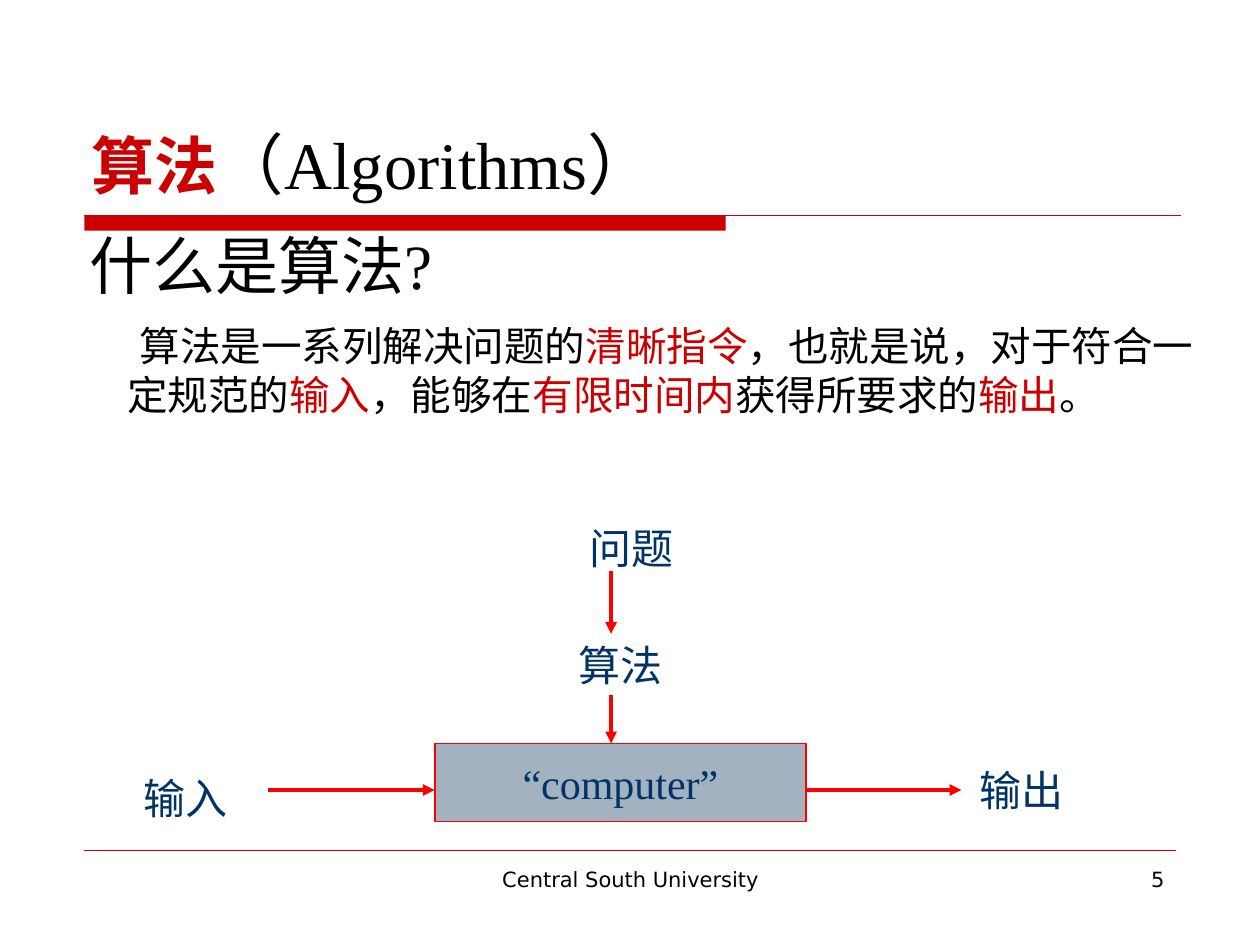
from pptx import Presentation
from pptx.dml.color import RGBColor
from pptx.enum import shapes, text
from pptx.oxml.ns import qn
from pptx.util import Inches, Pt
from lxml import etree

# Content: runs are (text, style)
TITLE = [("算法", "key"), ("（Algorithms）", "name")]
ASK = "什么是算法?"
BODY = [("算法是一系列解决问题的", "ink"), ("清晰指令", "red"),
        ("，也就是说，对于符合一定规范的", "ink"), ("输入", "red"),
        ("，能够在", "ink"), ("有限时间内", "red"),
        ("获得所要求的", "ink"), ("输出", "red"), ("。", "ink")]
# Labels: text, left, top, width
LABELS = [("问题", 4.19, 4.1, 1.64), ("算法", 4.13, 5.03, 1.59),
          ("输入", 0.83, 6.08, 1.29), ("输出", 7.46, 6.02, 1.29)]
BOX = ("“computer”", 3.45, 5.9, 2.95, 0.62)
FOOT = [("Central South University", 3.42, 3.17, "CENTER"),
        ("5", 7.17, 2.17, "RIGHT")]

THEME = {
    "ink": "000000", "red": "CC0000", "navy": "003366",
    "arrow": "FF0000", "box": "A3B2C1",
    "serif": "Times New Roman", "sans": "DejaVu Sans",
    "key": 36, "name": 38, "ask": 36, "body": 23.2, "label": 24, "foot": 12,
}

deck = Presentation()
deck.slide_width, deck.slide_height = Inches(10), Inches(7.5)
slide = deck.slides.add_slide(deck.slide_layouts[1])
parts = slide.shapes


def hue(name):
    return RGBColor.from_string(THEME[name])


def place(shape, *spot):
    shape.left, shape.top, shape.width, shape.height = map(Inches, spot)


def style(para, face, size, color="ink", align="LEFT"):
    para.alignment = getattr(text.PP_ALIGN, align)
    para.space_before = Pt(0)
    font = para.font
    font.name, font.size = THEME[face], Pt(THEME[size])
    font.color.rgb = hue(color)


def label(words, spot, face, size, color="ink", align="LEFT"):
    frame = parts.add_textbox(*map(Inches, spot)).text_frame
    frame.word_wrap = True
    frame.text = words
    style(frame.paragraphs[0], face, size, color, align)


def line(x1, y1, x2, y2, color, width, arrow=False):
    link = parts.add_connector(shapes.MSO_CONNECTOR.STRAIGHT,
                               *map(Inches, (x1, y1, x2, y2)))
    link.line.color.rgb = hue(color)
    link.line.width = Pt(width)
    if arrow:
        etree.SubElement(link.line._get_or_add_ln(), qn("a:tailEnd"),
                         type="triangle")
    etree.SubElement(link._element.spPr, qn("a:effectLst"))


def block(spot, fill):
    shape = parts.add_shape(shapes.MSO_SHAPE.RECTANGLE, *map(Inches, spot))
    shape.shadow.inherit = False
    shape.fill.solid()
    shape.fill.fore_color.rgb = hue(fill)
    return shape


# Template rules and footer
block((0.67, 1.71, 5.09, 0.12), "red").line.fill.background()
line(0.67, 1.71, 9.37, 1.71, "red", 0.75)
line(0.67, 6.75, 9.33, 6.75, "red", 0.25)
for words, left, width, align in FOOT:
    label(words, (left, 6.83, width, 0.52), "sans", "foot", align=align)

# Title
head = parts.title
place(head, 0.63, 0.33, 8.75, 1.33)
frame = head.text_frame
frame.vertical_anchor = text.MSO_ANCHOR.BOTTOM
frame.auto_size = text.MSO_AUTO_SIZE.NONE
para = frame.paragraphs[0]
style(para, "serif", "name")
for words, kind in TITLE:
    run = para.add_run()
    run.text = words
    run.font.size = Pt(THEME[kind])
    run.font.bold = kind == "key"
    run.font.color.rgb = hue("red" if kind == "key" else "ink")

# Question and definition
label(ASK, (0.61, 1.75, 3.2, 0.7), "serif", "ask")
body = slide.placeholders[1]
place(body, -0.08, 2.5, 9.75, 1.17)
body.text_frame.auto_size = text.MSO_AUTO_SIZE.NONE
para = body.text_frame.paragraphs[0]
props = para._p.get_or_add_pPr()
props.set("marL", str(Inches(0.99)))
props.set("indent", str(Inches(0.1)))
etree.SubElement(props, qn("a:buNone"))
style(para, "sans", "body")
for words, color in BODY:
    run = para.add_run()
    run.text = words
    run.font.color.rgb = hue(color)

# Flow: box, labels, arrows that meet the box edges
words, left, top, width, height = BOX
box = block(BOX[1:], "box")
box.line.color.rgb = hue("arrow")
box.line.width = Pt(1)
box.text_frame.text = words
box.text_frame.vertical_anchor = text.MSO_ANCHOR.MIDDLE
style(box.text_frame.paragraphs[0], "serif", "label", "navy", "CENTER")
for words, x, y, wide in LABELS:
    label(words, (x, y, wide, 0.5), "serif", "label", "navy", "CENTER")

right, axis, row = left + width, 4.85, 6.27
for ends in [(axis, 4.53, axis, 5.03), (axis, 5.52, axis, top),
             (2.13, row, left, row), (right, row, 7.63, row)]:
    line(*ends, "arrow", 2.25, arrow=True)

deck.save("out.pptx")
